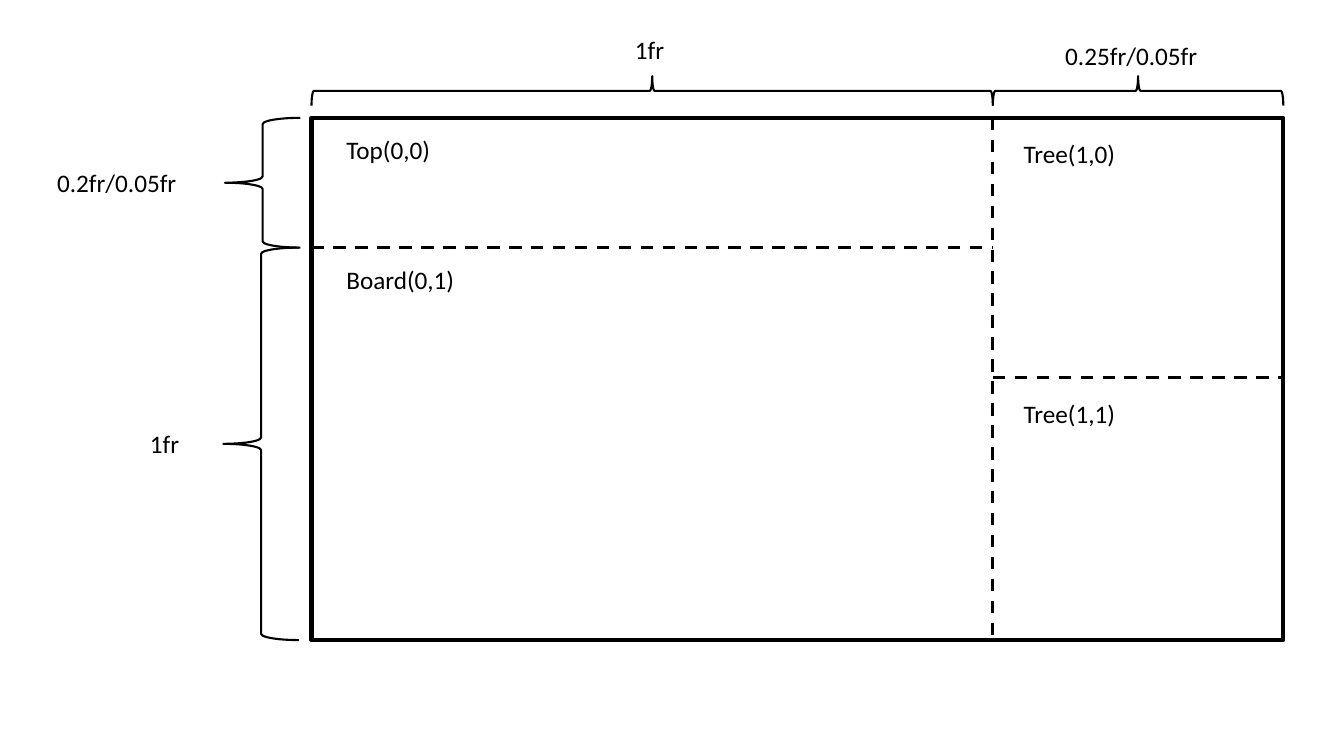
from collections import namedtuple

from lxml.etree import SubElement
from pptx import Presentation
from pptx.dml.color import RGBColor
from pptx.enum.dml import MSO_LINE
from pptx.enum.shapes import MSO_CONNECTOR, MSO_SHAPE
from pptx.enum.text import MSO_AUTO_SIZE
from pptx.oxml.ns import qn
from pptx.util import Cm, Pt

Box = namedtuple("Box", "left top width height")

BLACK = "000000"
WHITE = "FFFFFF"
LABEL_HEIGHT = 1.02
COLUMN_SPLIT = 17.17
TOP_SPLIT = 3.27
TREE_SPLIT = 6.55


def color(hex_string):
    return RGBColor.from_string(hex_string)


def style_line(line, width):
    line.color.rgb = color(BLACK)
    line.width = Pt(width)


def add_label(slide, text, left, top, width):
    shape = slide.shapes.add_textbox(Cm(left), Cm(top), Cm(width), Cm(LABEL_HEIGHT))
    frame = shape.text_frame
    frame.word_wrap = True
    frame.auto_size = MSO_AUTO_SIZE.SHAPE_TO_FIT_TEXT
    paragraph = frame.paragraphs[0]
    paragraph.text = text
    paragraph.font.name = "Calibri"
    paragraph.font.size = Pt(18)
    paragraph.font.color.rgb = color(BLACK)


def add_divider(slide, start_x, start_y, end_x, end_y):
    connector = slide.shapes.add_connector(
        MSO_CONNECTOR.STRAIGHT, Cm(start_x), Cm(start_y), Cm(end_x), Cm(end_y))
    style_line(connector.line, 2.25)
    connector.line.dash_style = MSO_LINE.DASH
    properties = connector._element.find(qn("p:spPr"))
    SubElement(properties, qn("a:effectLst"))


def add_brace(slide, box, rotated=False):
    left, top, width, height = box
    if rotated:
        left += (width - height) / 2
        top += (height - width) / 2
        width, height = height, width
    shape = slide.shapes.add_shape(
        MSO_SHAPE.LEFT_BRACE, Cm(left), Cm(top), Cm(width), Cm(height))
    shape.rotation = 90 if rotated else 0
    shape.shadow.inherit = False
    shape.fill.background()
    style_line(shape.line, 1.5)


def draw_layout_grid(slide, box):
    frame = slide.shapes.add_shape(MSO_SHAPE.RECTANGLE, *map(Cm, box))
    frame.shadow.inherit = False
    frame.fill.solid()
    frame.fill.fore_color.rgb = color(WHITE)
    style_line(frame.line, 3)

    right = box.left + box.width
    split_x = box.left + COLUMN_SPLIT
    top_y = box.top + TOP_SPLIT
    tree_y = box.top + TREE_SPLIT
    add_divider(slide, split_x, box.top, split_x, box.top + box.height)
    add_divider(slide, box.left, top_y, split_x, top_y)
    add_divider(slide, split_x, tree_y, right, tree_y)

    add_label(slide, "Top(0,0)", box.left + 0.63, box.top + 0.3, 2.8)
    add_label(slide, "Board(0,1)", box.left + 0.63, top_y + 0.3, 3.4)
    add_label(slide, "Tree(1,0)", split_x + 0.53, box.top + 0.38, 2.9)
    add_label(slide, "Tree(1,1)", split_x + 0.53, tree_y + 0.38, 2.9)


def draw_column_sizes(slide, box):
    columns = [
        ("1fr", 0, COLUMN_SPLIT, 1.37, 0),
        ("0.25fr/0.05fr", COLUMN_SPLIT, box.width - COLUMN_SPLIT, 4.17, 0.15),
    ]
    brace_height = 0.74
    brace_top = box.top + box.height - brace_height
    for text, offset, width, label_width, label_offset in columns:
        left = box.left + offset
        add_brace(slide, Box(left, brace_top, width, brace_height), rotated=True)
        add_label(slide, text, left + (width - label_width) / 2,
                  box.top + label_offset, label_width)


def draw_row_sizes(slide, box):
    rows = [
        ("0.2fr/0.05fr", 0, TOP_SPLIT, 4.24, 0.04),
        ("1fr", TOP_SPLIT, box.height - TOP_SPLIT, 1.9, 0),
    ]
    brace_width = 1.9
    brace_left = box.left + box.width - brace_width
    for text, offset, height, label_width, shift in rows:
        top = box.top + offset
        add_brace(slide, Box(brace_left + shift, top, brace_width, height))
        add_label(slide, text, brace_left - 0.2 - label_width,
                  top + (height - LABEL_HEIGHT) / 2, label_width)


presentation = Presentation()
presentation.slide_width = Cm(33.87)
presentation.slide_height = Cm(19.05)
slide = presentation.slides.add_slide(presentation.slide_layouts[6])

grid = Box(7.85, 2.97, 24.49, 13.16)
draw_layout_grid(slide, grid)
draw_column_sizes(slide, Box(grid.left, 0.74, grid.width, 1.92))
draw_row_sizes(slide, Box(1.19, grid.top, 6.34, grid.height))

presentation.save("out.pptx")
